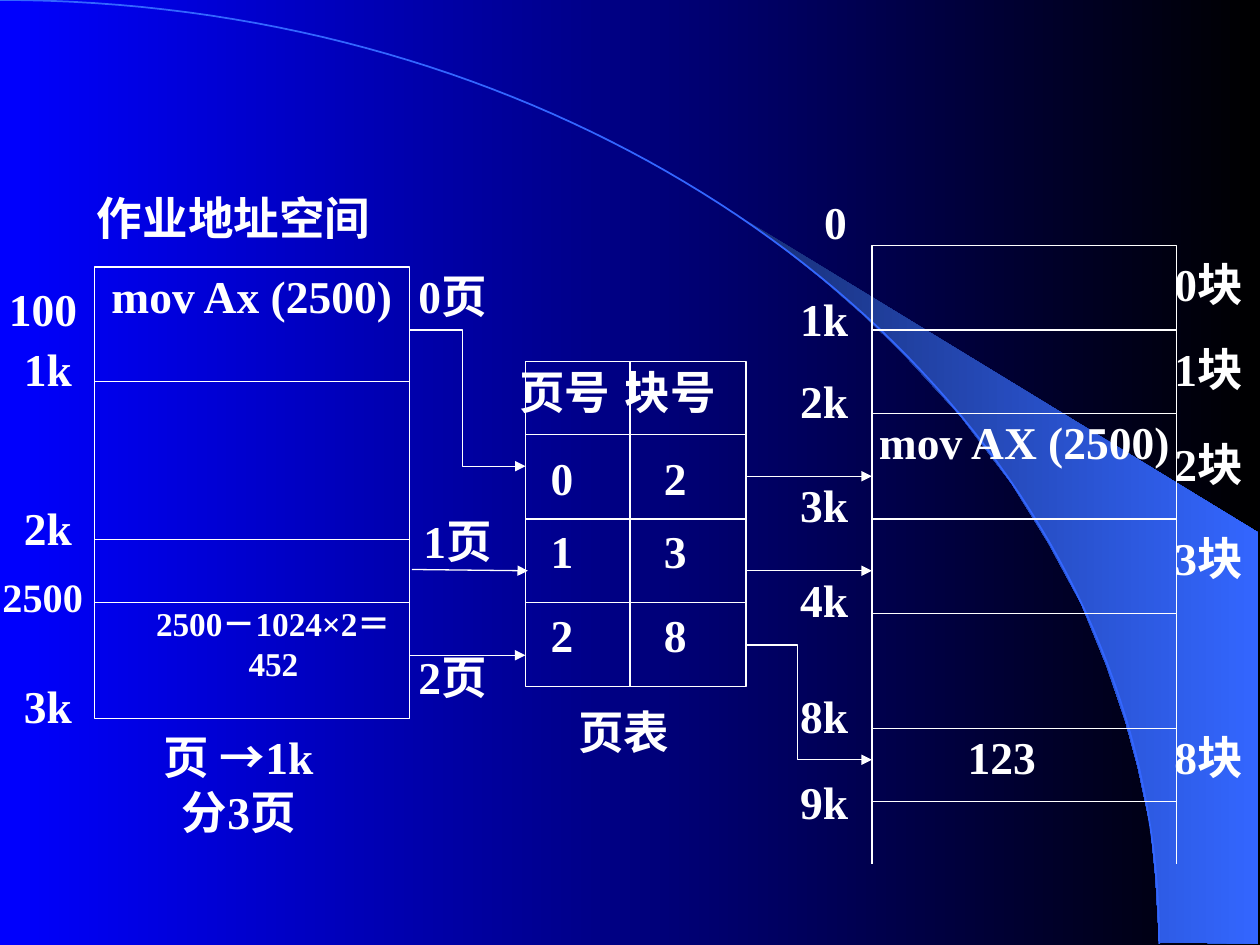
from dataclasses import dataclass

from lxml.etree import SubElement
from pptx import Presentation
from pptx.dml.color import RGBColor
from pptx.enum.shapes import MSO_CONNECTOR, MSO_SHAPE
from pptx.enum.text import MSO_ANCHOR, PP_ALIGN
from pptx.oxml.ns import qn
from pptx.util import Inches, Pt


@dataclass(frozen=True)
class Theme:
    font: str = "Times New Roman"
    symbol_font: str = "Arial"
    white: RGBColor = RGBColor(0xFF, 0xFF, 0xFF)
    blue: RGBColor = RGBColor(0x00, 0x00, 0xFF)
    black: RGBColor = RGBColor(0x00, 0x00, 0x00)
    beam_dark: RGBColor = RGBColor(0x18, 0x2F, 0x76)
    beam_light: RGBColor = RGBColor(0x33, 0x66, 0xFF)
    body_size: float = 26
    address_size: float = 23
    formula_size: float = 19
    thin: float = 0.75
    arc: float = 1


class DiagramSlide:
    def __init__(self, slide, theme):
        self.slide = slide
        self.shapes = slide.shapes
        self.theme = theme

    def gradient(self, fill, start, end):
        fill.gradient()
        fill.gradient_angle = 0
        for stop, color in zip(fill.gradient_stops, (start, end)):
            stop.color.rgb = color

    def background(self):
        self.gradient(self.slide.background.fill, self.theme.blue, self.theme.black)

    def outline(self, shape, color=None, width=None, arrow=False):
        shape.line.color.rgb = color or self.theme.white
        shape.line.width = Pt(width or self.theme.thin)
        if arrow:
            line = shape._element.spPr.find(qn("a:ln"))
            SubElement(line, qn("a:tailEnd"), type="triangle")

    def freeform(self, points, close=False):
        points = [(Inches(x), Inches(y)) for x, y in points]
        builder = self.shapes.build_freeform(*points[0])
        builder.add_line_segments(points[1:], close=close)
        shape = builder.convert_to_shape()
        shape.shadow.inherit = False
        shape.fill.background()
        return shape

    def beam(self, points):
        shape = self.freeform(points, close=True)
        self.gradient(shape.fill, self.theme.beam_dark, self.theme.beam_light)
        shape.line.fill.background()

    def arc(self, *controls, steps=80):
        """Draw a cubic Bezier curve through short straight segments."""
        points = []
        for step in range(steps + 1):
            t = step / steps
            weights = ((1 - t) ** 3, 3 * t * (1 - t) ** 2, 3 * t * t * (1 - t), t ** 3)
            points.append(tuple(sum(w * c for w, c in zip(weights, axis))
                                for axis in zip(*controls)))
        self.outline(self.freeform(points), self.theme.beam_light, self.theme.arc)

    def elbow_arrow(self, *points):
        self.outline(self.freeform(points), arrow=True)

    def line(self, x1, y1, x2, y2, arrow=False):
        connector = self.shapes.add_connector(
            MSO_CONNECTOR.STRAIGHT, Inches(x1), Inches(y1), Inches(x2), Inches(y2))
        self.outline(connector, arrow=arrow)
        SubElement(connector._element.spPr, qn("a:effectLst"))

    def box(self, left, top, width, height):
        shape = self.shapes.add_shape(
            MSO_SHAPE.RECTANGLE, Inches(left), Inches(top), Inches(width), Inches(height))
        shape.shadow.inherit = False
        shape.fill.background()
        self.outline(shape)
        return shape

    def stack(self, left, width, edges):
        """Draw boxes on top of each other between successive edges."""
        return [self.box(left, top, width, bottom - top)
                for top, bottom in zip(edges, edges[1:])]

    def set_text(self, shape, *lines, size=None, align=PP_ALIGN.CENTER, right=0.02):
        """Fill a shape with paragraphs, each a list of run texts."""
        frame = shape.text_frame
        frame.word_wrap = False
        frame.vertical_anchor = MSO_ANCHOR.TOP
        frame.margin_left, frame.margin_right = Inches(0.02), Inches(right)
        frame.margin_top = frame.margin_bottom = Inches(0.01)
        for index, texts in enumerate(lines):
            paragraph = frame.add_paragraph() if index else frame.paragraphs[0]
            paragraph.alignment = align
            for text in texts:
                run = paragraph.add_run()
                run.text = text
                font = run.font
                font.name = self.theme.symbol_font if text == "→" else self.theme.font
                font.size = Pt(size or self.theme.body_size)
                font.bold = True
                font.color.rgb = self.theme.white

    def label(self, left, top, width, *lines, height=0.57, size=None, align=PP_ALIGN.LEFT):
        shape = self.shapes.add_textbox(
            Inches(left), Inches(top), Inches(width), Inches(height))
        self.set_text(shape, *lines, size=size, align=align)

    def label_column(self, left, width, entries):
        for text, top in entries.items():
            self.label(left, top, width, [text])


def draw_backdrop(diagram):
    diagram.background()
    diagram.beam([
        (9.2, 7.48), (9.99, 7.49), (9.99, 4.23), (5.89, 1.73), (6.24, 1.99), (6.53, 2.22),
        (6.85, 2.5), (7.16, 2.8), (7.62, 3.3), (8.03, 3.84), (8.32, 4.31), (8.58, 4.79),
        (8.78, 5.28), (8.93, 5.72), (9.03, 6.09), (9.13, 6.56), (9.17, 6.96)])
    diagram.arc((0, 0), (5.08, 0), (9.2, 3.35), (9.2, 7.49))


def draw_job_space(diagram):
    theme = diagram.theme
    pages = diagram.stack(0.75, 2.5, [2.12, 3.03, 4.78, 5.7])
    diagram.set_text(pages[0], ["mov Ax (2500)"])
    diagram.line(0.75, 4.28, 3.25, 4.28)
    diagram.label(0.75, 1.5, 2.34, ["作业地址空间"])
    diagram.label(0.05, 2.22, 0.72, ["100"])
    diagram.label_column(0.17, 0.54, {"1k": 2.7, "2k": 3.96, "3k": 5.37})
    diagram.label(0, 4.53, 0.8, ["2500"], height=0.5, size=theme.address_size)
    diagram.label(1.08, 4.78, 2.18, ["2500－1024×2＝452"], height=0.77,
                  size=theme.formula_size, align=PP_ALIGN.CENTER)
    diagram.label(1.22, 5.78, 1.35, ["页 ", "→", "1k"], ["分3页"], height=1.03,
                  align=PP_ALIGN.CENTER)


def draw_page_table(diagram):
    left, top, right, bottom = 4.17, 2.87, 5.92, 5.45
    diagram.box(left, top, right - left, bottom - top)
    diagram.line(5, top, 5, bottom)
    for y in (3.45, 4.12, 4.78):
        diagram.line(left, y, right, y)
    for x, heading in ((4.1, "页号"), (4.94, "块号")):
        diagram.label(x, 2.88, 0.9, [heading])
    for y, page, block in ((3.56, "0", "2"), (4.14, "1", "3"), (4.81, "2", "8")):
        diagram.label(4.35, y, 0.36, [page])
        diagram.label(5.25, y, 0.37, [block])
    diagram.label(4.57, 5.58, 0.9, ["页表"])


def draw_memory(diagram):
    left, width = 6.92, 2.42
    blocks = diagram.stack(left, width, [1.95, 2.62, 3.28, 4.12, 4.87, 5.78, 6.36])
    diagram.set_text(blocks[2], ["mov AX (2500)"])
    diagram.set_text(blocks[5], ["123"], right=0.38)
    for x in (left, left + width):
        diagram.line(x, 6.36, x, 6.86)
    diagram.label(6.52, 1.53, 0.36, ["0"])
    diagram.label_column(6.33, 0.55, {"1k": 2.3, "2k": 2.95, "3k": 3.78,
                                      "4k": 4.53, "8k": 5.45, "9k": 6.13})
    diagram.label_column(9.3, 0.72, {"0块": 2.02, "1块": 2.7, "2块": 3.45,
                                     "3块": 4.2, "8块": 5.78})


def draw_mappings(diagram):
    diagram.elbow_arrow((3.25, 2.62), (3.67, 2.62), (3.67, 3.7), (4.17, 3.7))
    diagram.line(3.27, 4.52, 4.19, 4.53, arrow=True)
    diagram.line(3.25, 5.2, 4.17, 5.2, arrow=True)
    for y in (3.78, 4.53):
        diagram.line(5.92, y, 6.92, y, arrow=True)
    diagram.elbow_arrow((5.92, 5.12), (6.33, 5.12), (6.33, 6.03), (6.92, 6.03))
    diagram.label_column(3.3, 0.72, {"0页": 2.12, "2页": 5.14})
    diagram.label(3.34, 4.06, 0.72, ["1页"])


def main():
    presentation = Presentation()
    presentation.slide_width, presentation.slide_height = Inches(10), Inches(7.5)
    slide = presentation.slides.add_slide(presentation.slide_layouts[6])
    diagram = DiagramSlide(slide, Theme())
    for draw in (draw_backdrop, draw_job_space, draw_page_table, draw_memory, draw_mappings):
        draw(diagram)
    presentation.save("out.pptx")


if __name__ == "__main__":
    main()
